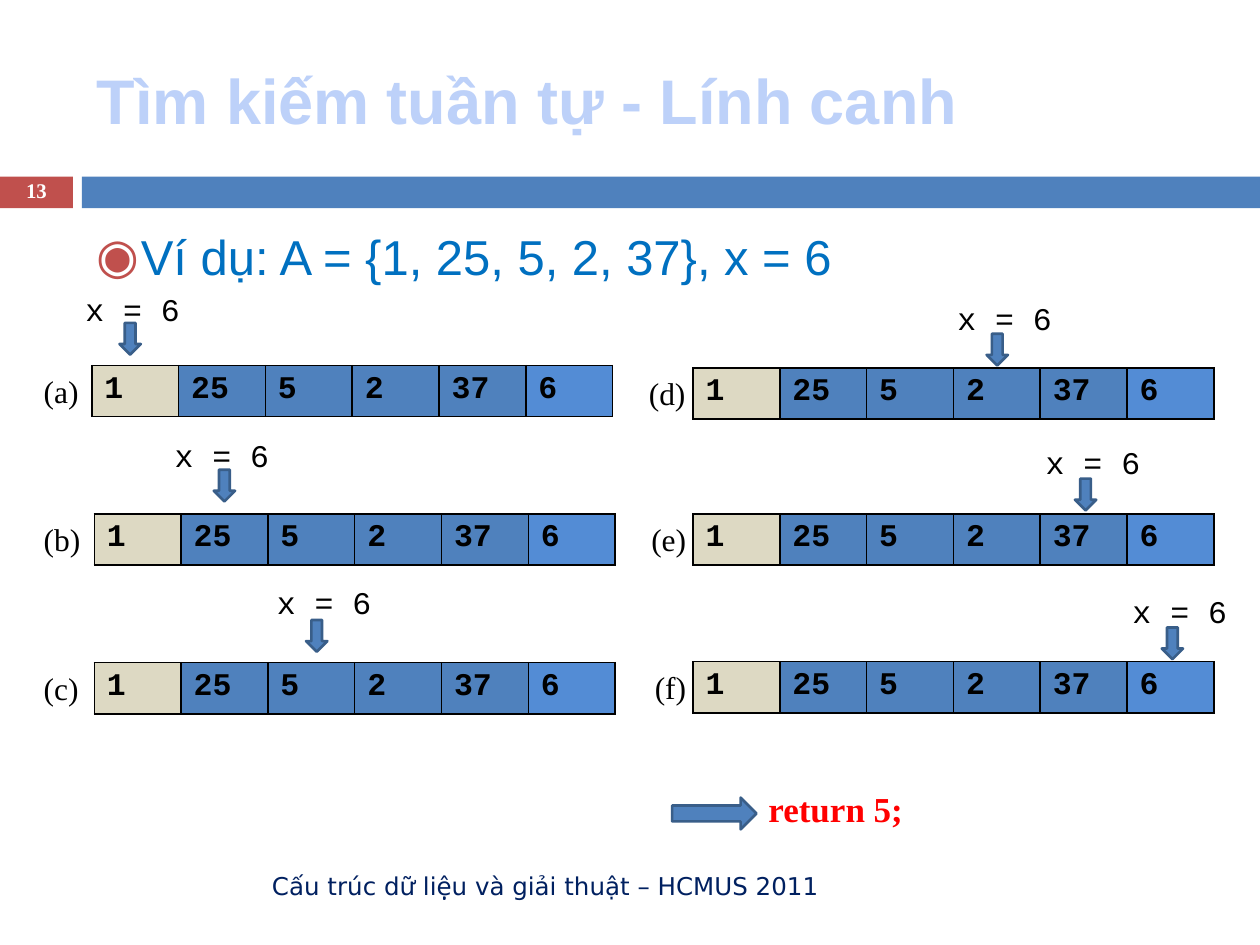
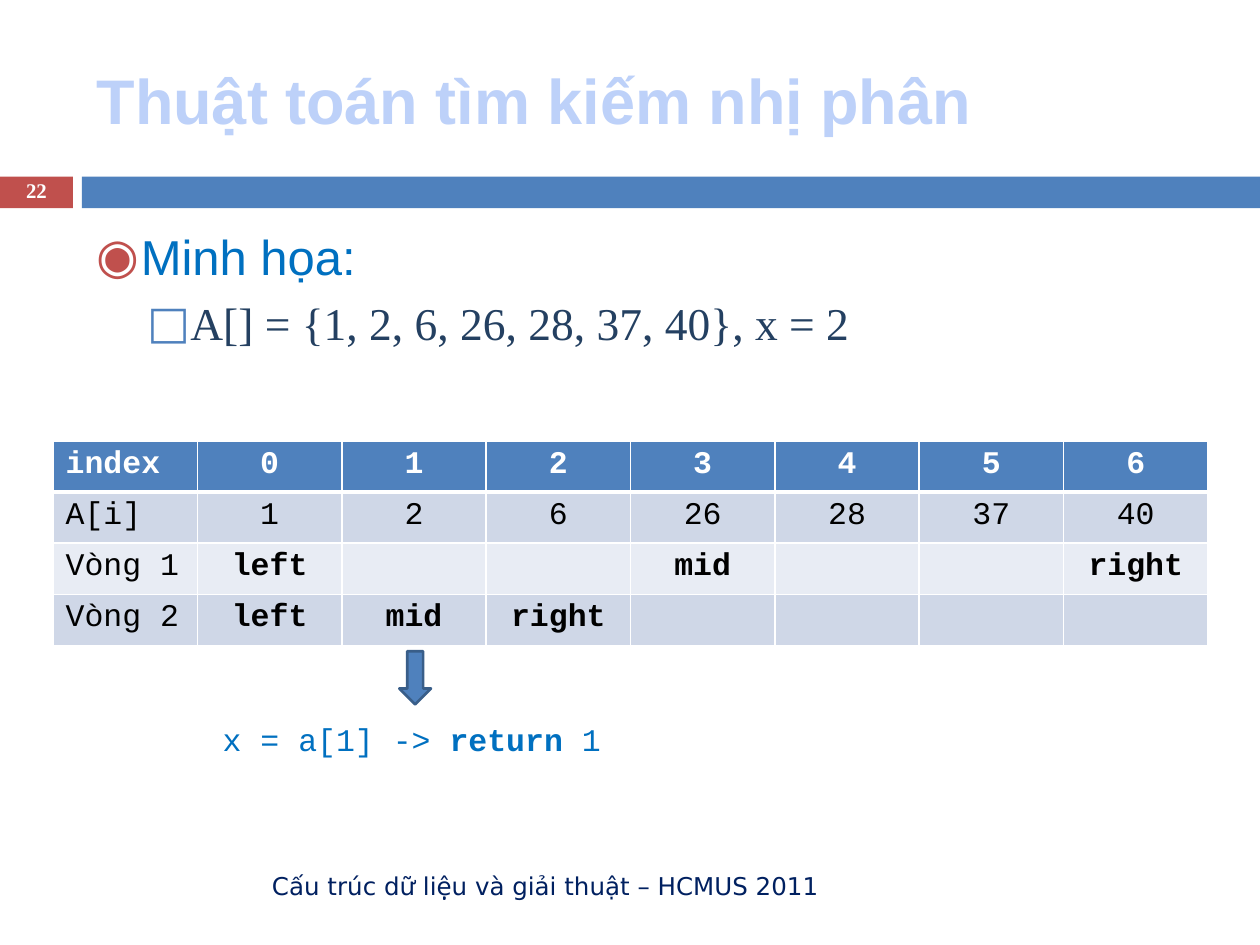
from lxml.etree import SubElement
from pptx import Presentation
from pptx.dml.color import RGBColor
from pptx.enum.shapes import MSO_SHAPE
from pptx.enum.text import MSO_ANCHOR, PP_ALIGN
from pptx.oxml.ns import qn
from pptx.util import Cm, Pt

COLORS = {
    "red": "C0504D", "blue": "4F81BD", "outline": "395E89", "title": "BDD1F9",
    "footer": "002060", "accent": "0070C0", "navy": "244061", "return": "FF0000",
    "black": "000000", "white": "FFFFFF", "first": "DDD9C3", "sentinel": "538CD5",
    "odd": "CFD7E7", "even": "E8ECF4",
}
TITLE = {"name": "Arial", "size": Pt(36), "bold": True, "color": "title"}
FOOTER = {"name": "DejaVu Sans", "size": Pt(14), "color": "footer"}
NUMBER = {"name": "Times New Roman", "size": Pt(11.9), "bold": True, "color": "white"}
BODY = {"name": "Arial", "size": Pt(28), "color": "accent"}
SUBBODY = {"name": "Times New Roman", "size": Pt(26), "color": "navy"}
CODE = {"name": "Courier New", "size": Pt(18), "bold": False, "color": "black"}
CODE_BOLD = {**CODE, "bold": True}
LABEL = {"name": "Times New Roman", "size": Pt(18), "color": "black"}
RETURN = {"name": "Times New Roman", "size": Pt(20), "bold": True, "color": "return"}

FOOTER_TEXT = "Cấu trúc dữ liệu và giải thuật – HCMUS 2011"
BULLET_FONT = "DejaVu Sans"
ROW_HEIGHT = 1.03
ARRAY = ["1", "25", "5", "2", "37", "6"]
ARRAY_FILLS = ["first"] + ["blue"] * 4 + ["sentinel"]
STEPS = [
    ("(a)", (1.85, 7.37), -1.22, (-0.38, -1.65), (0.56, -0.86)),
    ("(b)", (1.9, 10.36), -1.27, (1.37, -1.7), (2.41, -0.89)),
    ("(c)", (1.9, 13.36), -1.27, (3.43, -1.73), (4.27, -0.86)),
    ("(d)", (13.97, 7.42), -1.14, (5.08, -1.52), (5.92, -0.69)),
    ("(e)", (13.97, 10.36), -1.09, (6.86, -1.55), (7.7, -0.71)),
    ("(f)", (13.97, 13.34), -1.02, (8.61, -1.52), (9.45, -0.69)),
]
TRACE = [
    ["index", "0", "1", "2", "3", "4", "5", "6"],
    ["A[i]", "1", "2", "6", "26", "28", "37", "40"],
    ["Vòng 1", "left", "", "", "mid", "", "", "right"],
    ["Vòng 2", "left", "mid", "right", "", "", "", ""],
]


def rgb(name):
    return RGBColor.from_string(COLORS[name])


def add_run(p, text, fmt):
    r = p.add_run()
    r.text = text
    for key, value in fmt.items():
        if key == "color":
            r.font.color.rgb = rgb(value)
        else:
            setattr(r.font, key, value)


def add_text(s, box, runs, anchor=MSO_ANCHOR.TOP, **para):
    tf = s.shapes.add_textbox(*map(Cm, box)).text_frame
    tf.word_wrap = True
    tf.vertical_anchor = anchor
    p = tf.paragraphs[0]
    for key, value in para.items():
        setattr(p, key, value)
    for text, fmt in runs:
        add_run(p, text, fmt)
    return tf


def add_preset(s, kind, box, fill, line=None):
    sp = s.shapes.add_shape(kind, *map(Cm, box))
    sp.shadow.inherit = False
    sp.fill.solid()
    sp.fill.fore_color.rgb = rgb(fill)
    if line:
        sp.line.color.rgb = rgb(line)
        sp.line.width = Pt(1.5)
    else:
        sp.line.fill.background()


def add_arrow(s, box, kind=MSO_SHAPE.DOWN_ARROW):
    add_preset(s, kind, box, "blue", "outline")


def set_bullet(p, char, color, margin, indent):
    pPr = p._p.get_or_add_pPr()
    pPr.set("marL", str(Cm(margin)))
    pPr.set("indent", str(-Cm(indent)))
    SubElement(SubElement(pPr, qn("a:buClr")), qn("a:srgbClr"), val=COLORS[color])
    SubElement(pPr, qn("a:buFont"), typeface=BULLET_FONT)
    SubElement(pPr, qn("a:buChar"), char=char)


def style_cell(cell, text, fmt, fill, line, widths, align=PP_ALIGN.LEFT):
    tcPr = cell._tc.get_or_add_tcPr()
    for side, width in zip("LRTB", widths):
        ln = SubElement(tcPr, qn(f"a:ln{side}"), w=str(Pt(width)))
        SubElement(SubElement(ln, qn("a:solidFill")), qn("a:srgbClr"), val=COLORS[line])
    cell.fill.solid()
    cell.fill.fore_color.rgb = rgb(fill)
    p = cell.text_frame.paragraphs[0]
    p.alignment = align
    if text:
        add_run(p, text, fmt)


def add_grid(s, left, top, rows, cols, col_width):
    box = (left, top, cols * col_width, rows * ROW_HEIGHT)
    table = s.shapes.add_table(rows, cols, *map(Cm, box)).table
    table.first_row = table.horz_banding = False
    for col in table.columns:
        col.width = Cm(col_width)
    for row in table.rows:
        row.height = Cm(ROW_HEIGHT)
    return table


def add_frame(prs, title, number, heading, subheading=None):
    s = prs.slides.add_slide(prs.slide_layouts[6])
    add_preset(s, MSO_SHAPE.RECTANGLE, (0, 3.56, 1.47, 0.64), "red")
    add_preset(s, MSO_SHAPE.RECTANGLE, (1.65, 3.56, 23.75, 0.64), "blue")
    add_text(s, (1.7, 0.64, 22.66, 2.74), [(title, TITLE)], MSO_ANCHOR.MIDDLE)
    add_text(s, (1.7, 17.35, 15.06, 1.02), [(FOOTER_TEXT, FOOTER)],
             MSO_ANCHOR.MIDDLE, alignment=PP_ALIGN.RIGHT)
    add_text(s, (0, 3.53, 1.47, 0.69), [(number, NUMBER)],
             MSO_ANCHOR.MIDDLE, alignment=PP_ALIGN.CENTER, line_spacing=0.8)
    tf = add_text(s, (1.7, 4.45, 22.66, 12.5), [(heading, BODY)])
    set_bullet(tf.paragraphs[0], "◉", "red", 0.89, 0.89)
    if subheading:
        p = tf.add_paragraph()
        p.level = 1
        set_bullet(p, "□", "blue", 1.78, 0.76)
        p.space_before = Pt(5.5)
        add_run(p, subheading, SUBBODY)
    return s


def add_step(s, label, origin, label_dx, caption, arrow):
    left, top = origin
    table = add_grid(s, left, top, 1, len(ARRAY), 1.75)
    for cell, text, fill in zip(table.rows[0].cells, ARRAY, ARRAY_FILLS):
        style_cell(cell, text, CODE_BOLD, fill, "black", (1, 1, 1, 1))
    add_text(s, (left + label_dx, top, 1.47, 1.02), [(label, LABEL)])
    add_text(s, (left + caption[0], top + caption[1], 2.74, 1.02), [("x = 6", CODE)])
    add_arrow(s, (left + arrow[0], top + arrow[1], 0.43, 0.64))


def add_trace(s, left, top):
    table = add_grid(s, left, top, len(TRACE), len(TRACE[0]), 2.91)
    fills = ["blue", "odd", "even", "odd"]
    for i, row in enumerate(TRACE):
        widths = (1, 1, 3 if i == 1 else 1, 3 if i == 0 else 1)
        for j, text in enumerate(row):
            bold = i == 0 or (i > 1 and j > 0)
            fmt = {**CODE, "bold": bold, "color": "black" if i else "white"}
            align = PP_ALIGN.CENTER if j else PP_ALIGN.LEFT
            style_cell(table.cell(i, j), text, fmt, fills[i], "white", widths, align)


def build_sentinel_search(prs):
    s = add_frame(prs, "Tìm kiếm tuần tự - Lính canh", "13",
                  "Ví dụ: A = {1, 25, 5, 2, 37}, x = 6")
    for step in STEPS:
        add_step(s, *step)
    add_arrow(s, (13.55, 16.08, 1.7, 0.64), MSO_SHAPE.RIGHT_ARROW)
    add_text(s, (15.24, 15.75, 3.38, 1.12), [("return 5;", RETURN)])


def build_binary_search(prs):
    s = add_frame(prs, "Thuật toán tìm kiếm nhị phân", "22", "Minh họa:",
                  "A[] = {1, 2, 6, 26, 28, 37, 40}, x = 2")
    add_trace(s, 1.07, 8.89)
    add_arrow(s, (8.05, 13.13, 0.64, 1.07))
    result = {**CODE, "color": "accent"}
    add_text(s, (4.24, 14.4, 8.46, 1.02), [
        ("x = a[1] -> ", result), ("return", {**result, "bold": True}), (" 1", result)])


def main():
    prs = Presentation()
    prs.slide_width, prs.slide_height = Cm(25.4), Cm(19.05)
    build_sentinel_search(prs)
    build_binary_search(prs)
    prs.save("out.pptx")


if __name__ == "__main__":
    main()
